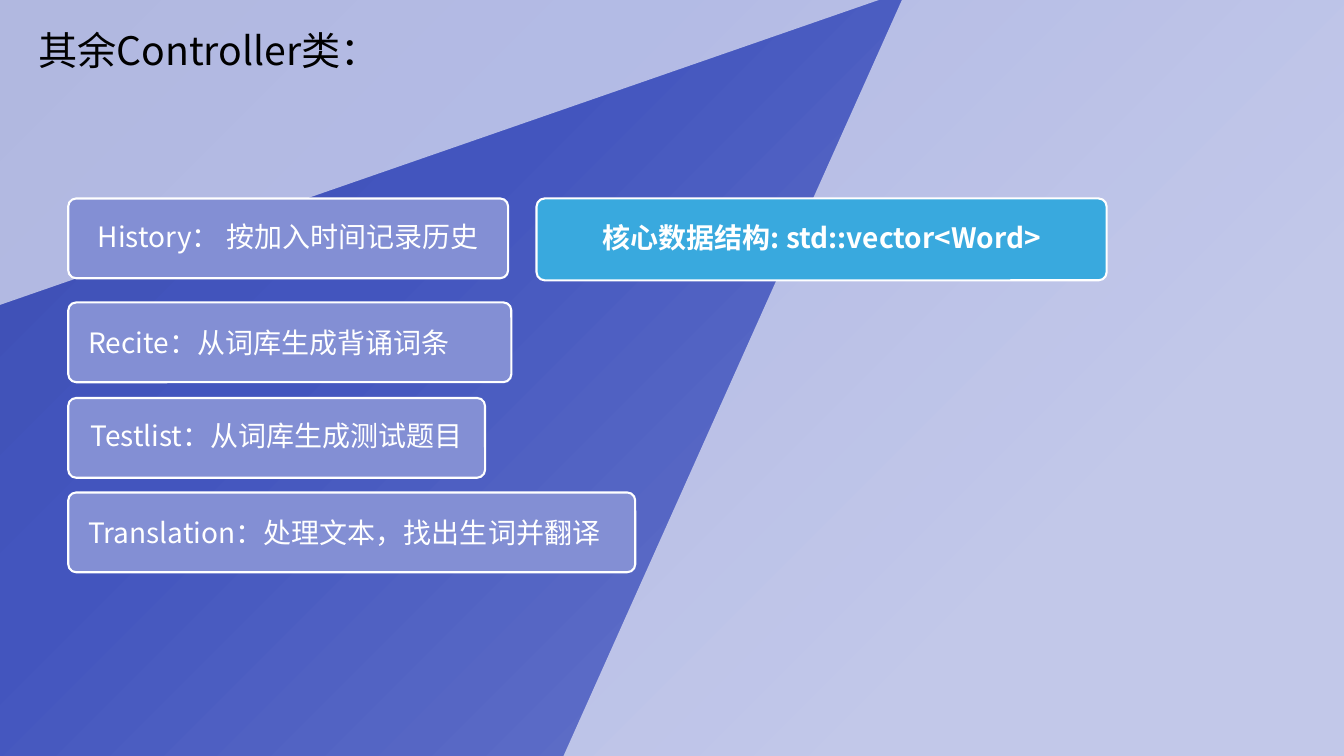
from lxml import etree
from pptx import Presentation
from pptx.dml.color import RGBColor
from pptx.enum.shapes import MSO_SHAPE
from pptx.enum.text import MSO_ANCHOR, PP_ALIGN
from pptx.oxml import parse_xml
from pptx.oxml.ns import nsdecls, qn
from pptx.util import Pt

ROUNDED, RECTANGLE = MSO_SHAPE.ROUNDED_RECTANGLE, MSO_SHAPE.RECTANGLE
CENTER, LEFT = PP_ALIGN.CENTER, PP_ALIGN.LEFT
MIDDLE = MSO_ANCHOR.MIDDLE
PX = 9525
WIDTH, HEIGHT = 1280, 720
FONT = "Noto Sans CJK SC"
COLORS = {
    "text": "000000",
    "white": "FFFFFF",
    "class": "838FD4",
    "structure": "39A9DE",
    "light": "6776CA",
    "mid": "4355BE",
    "deep": "3E4FB2",
}
GRADIENT = [(0, "light"), (23, "light"), (69, "mid"), (97, "deep")]
INNER_BLOB = (60, (863, -9), [
    ((751, -90), (664, -137), (504, -151)),
    ((344, -164), (103, -111), (-28, -6)),
    ((-157, 99), (-288, 320), (-276, 480)),
    ((-262, 641), (-81, 990), (108, 1076)),
    ((297, 1162), (835, 1159), (1014, 1035)),
    ((1192, 912), (1191, 496), (1179, 336)),
    ((1165, 175), (975, 72), (863, -9)),
])
OUTER_BLOB = (80, (1228, 265), [
    ((1189, 164), (1149, 97), (1017, 19)),
    ((884, -59), (630, -130), (436, -118)),
    ((241, -108), (-42, -23), (-152, 84)),
    ((-261, 193), (-364, 493), (-260, 630)),
    ((-157, 766), (323, 996), (574, 995)),
    ((826, 994), (1139, 729), (1248, 620)),
    ((1357, 513), (1267, 365), (1228, 265)),
])
CLASSES = [
    (189, 419, "History： 按加入时间记录历史", CENTER),
    (288, 422, "Recite：从词库生成背诵词条", LEFT),
    (379, 397, "Testlist：从词库生成测试题目", CENTER),
    (469, 540, "Translation：处理文本，找出生词并翻译", LEFT),
]


def rgb(name):
    return RGBColor.from_string(COLORS[name])


def scaled(*lengths):
    return [length * PX for length in lengths]


def write_text(shape, text, size, color, align=LEFT, bold=False):
    paragraph = shape.text_frame.paragraphs[0]
    paragraph.text = text
    paragraph.alignment = align
    font = paragraph.font
    font.name, font.size, font.bold = FONT, Pt(size), bold
    font.color.rgb = rgb(color)
    latin = paragraph._p.pPr.find(qn("a:defRPr")).find(qn("a:latin"))
    latin.addnext(parse_xml(f'<a:ea {nsdecls("a")} typeface="{FONT}"/>'))
    return paragraph


def add_blob(slide, opacity, start, curves):
    builder = slide.shapes.build_freeform(*start, scale=PX)
    builder.add_line_segments([end for _, _, end in curves], close=True)
    shape = builder.convert_to_shape()
    shape.shadow.inherit = False
    shape.fill.solid()
    shape.fill.fore_color.rgb = rgb("white")
    shape.line.fill.background()
    color = next(shape._element.spPr.iter(qn("a:srgbClr")))
    etree.SubElement(color, qn("a:alpha"), val=str(opacity * 1000))
    segments = list(shape._element.iter(qn("a:lnTo")))
    for segment, curve in zip(segments, curves):
        bezier = etree.Element(qn("a:cubicBezTo"))
        for x, y in curve:
            etree.SubElement(bezier, qn("a:pt"), x=str(x * PX - shape.left),
                             y=str(y * PX - shape.top))
        segment.getparent().replace(segment, bezier)


def add_background(slide, left, top, width, height):
    shape = slide.shapes.add_shape(RECTANGLE, *scaled(left, top, width, height))
    shape.shadow.inherit = False
    shape.line.fill.background()
    stops = "".join(
        f'<a:gs pos="{position * 1000}"><a:srgbClr val="{COLORS[name]}"/></a:gs>'
        for position, name in GRADIENT)
    gradient = parse_xml(
        f'<a:gradFill {nsdecls("a")} rotWithShape="1"><a:gsLst>{stops}</a:gsLst>'
        '<a:lin ang="13500000" scaled="0"/></a:gradFill>')
    shape._element.spPr.find(qn("a:prstGeom")).addnext(gradient)
    for blob in (INNER_BLOB, OUTER_BLOB):
        add_blob(slide, *blob)


def add_title(slide, left, top, width, height):
    box = slide.shapes.add_textbox(*scaled(left, top, width, height))
    box.text_frame.word_wrap = True
    write_text(box, "其余Controller类：", 28, "text")


def add_card(slide, left, top, width, height, text, fill, align=CENTER, bold=False):
    shape = slide.shapes.add_shape(ROUNDED, *scaled(left, top, width, height))
    shape.adjustments[0] = 0.1
    shape.shadow.inherit = False
    shape.fill.solid()
    shape.fill.fore_color.rgb = rgb(fill)
    shape.line.color.rgb = rgb("white")
    shape.line.width = Pt(1.5)
    frame = shape.text_frame
    frame.word_wrap = True
    frame.vertical_anchor = MIDDLE
    frame.margin_left = (17 if align == LEFT else 5) * PX
    frame.margin_right = 5 * PX
    frame.margin_top = frame.margin_bottom = PX
    paragraph = write_text(shape, text, 20, "white", align, bold)
    if align == CENTER:
        paragraph.line_spacing = 0.9


def add_classes(slide, left, height):
    for top, width, text, align in CLASSES:
        add_card(slide, left, top, width, height, text, "class", align)


def main():
    presentation = Presentation()
    presentation.slide_width, presentation.slide_height = scaled(WIDTH, HEIGHT)
    slide = presentation.slides.add_slide(presentation.slide_layouts[6])
    add_background(slide, 0, 0, WIDTH, HEIGHT)
    add_title(slide, 27, 20, 552, 55)
    add_classes(slide, 65, 76)
    add_card(slide, 511, 189, 543, 78, "核心数据结构: std::vector<Word>",
             "structure", bold=True)
    presentation.save("out.pptx")


if __name__ == "__main__":
    main()
